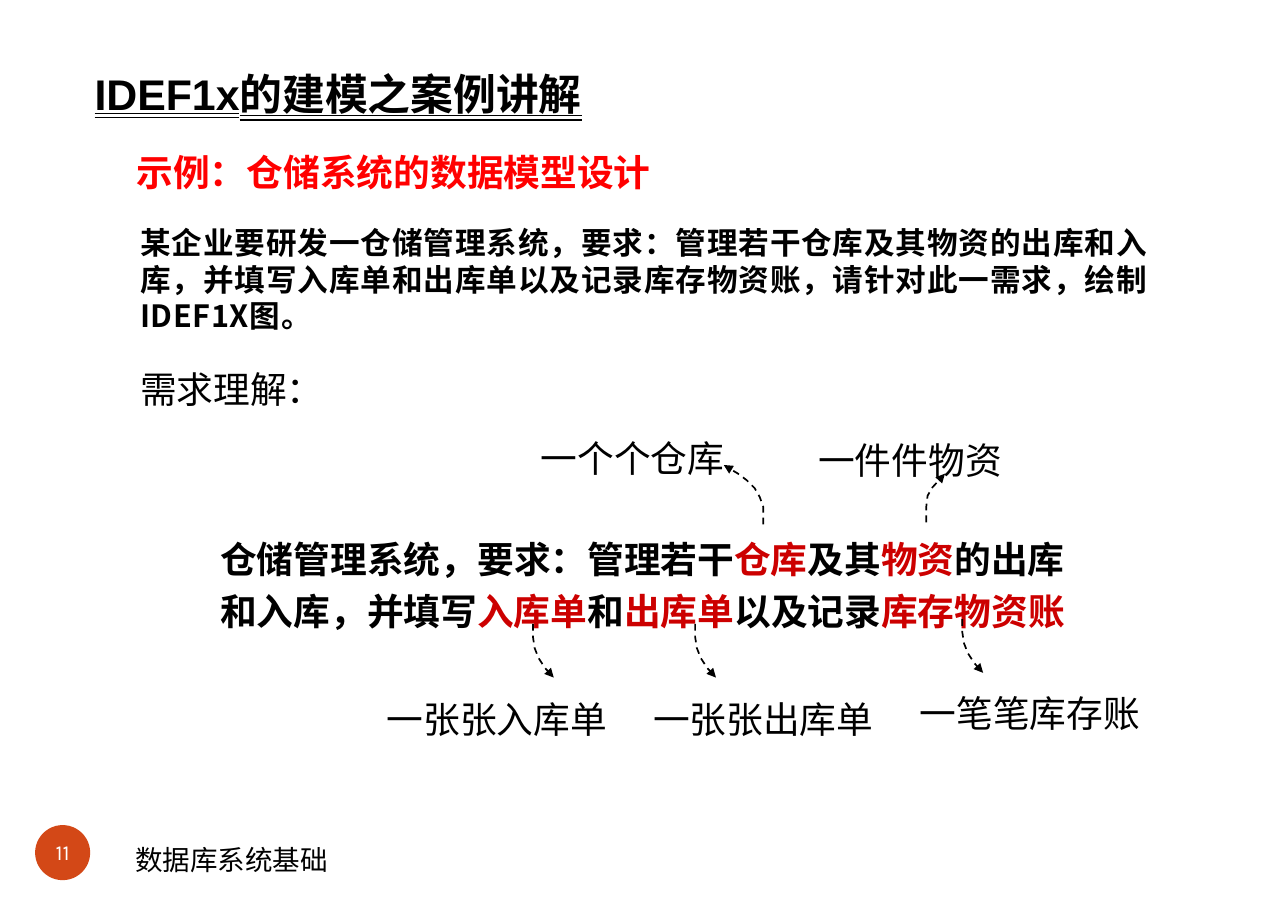
from lxml import etree
from pptx import Presentation
from pptx.dml.color import RGBColor
from pptx.enum import dml, shapes, text
from pptx.oxml.ns import qn
from pptx.util import Cm, Pt

# Content
COLORS = {"black": "000000", "red": "FF0000", "key": "CC0000",
          "orange": "D34817", "white": "FFFFFF"}
CJK = "Noto Sans CJK SC"

TITLE = "IDEF1x的建模之案例讲解"
EXAMPLE = "示例：仓储系统的数据模型设计"
TASK = ("某企业要研发一仓储管理系统，要求：管理若干仓库及其物资的出库和入 "
        "库，并填写入库单和出库单以及记录库存物资账，请针对此一需求，绘制 IDEF1X图。")
HEADING = "需求理解："
REQUIREMENT = [  # (text, colour)
    ("仓储管理系统，要求：管理若干", "black"), ("仓库", "key"),
    ("及其", "black"), ("物资", "key"),
    ("的出库 和入库，并填写", "black"), ("入库单", "key"),
    ("和", "black"), ("出库单", "key"),
    ("以及记录", "black"), ("库存物资账", "key"),
]
FOOTER = "数据库系统基础"
PAGE = "11"

# Arrow bends as offsets from the start, in cm
DOWN = [(0, 0.3), (0.04, 0.56), (0.13, 0.79), (0.28, 1.02), (0.48, 1.24)]
UP_LEFT = [(0, -0.41), (-0.08, -0.63), (-0.2, -0.84), (-0.38, -1.02),
           (-0.58, -1.17), (-0.91, -1.37)]
UP_RIGHT = [(0, -0.36), (0.03, -0.61), (0.13, -0.79), (0.43, -1.12)]

ENTITIES = [  # (label, label corner, arrow start, arrow bends)
    ("一个个仓库", (12.47, 9.96), (17.6, 12.09), UP_LEFT),
    ("一件件物资", (18.87, 10.01), (21.36, 12.04), UP_RIGHT),
    ("一张张入库单", (8.92, 15.98), (12.29, 14.38), DOWN),
    ("一张张出库单", (15.06, 15.98), (16.03, 14.38), DOWN),
    ("一笔笔库存账", (21.21, 15.85), (22.19, 14.27), DOWN),
]
CHAR_WIDTH = 0.86

prs = Presentation()
prs.slide_width, prs.slide_height = Cm(29.7), Cm(21)
s = prs.slides.add_slide(prs.slide_layouts[1])


def write(p, words, size=24, font=CJK, color="black", bold=False,
          underline=None, spacing=0, line=31, before=0,
          align=text.PP_ALIGN.LEFT):
    """Append one formatted run to a paragraph."""
    p.alignment, p.line_spacing, p.space_before = align, Pt(line), Pt(before)
    r = p.add_run()
    r.text = words
    f = r.font
    f.size, f.name, f.bold, f.underline = Pt(size), font, bold, underline
    f.color.rgb = RGBColor.from_string(COLORS[color])
    rpr = r._r.get_or_add_rPr()
    if spacing:
        rpr.set("spc", str(int(spacing * 100)))
    latin = rpr.find(qn("a:latin"))
    east = etree.Element(qn("a:ea"), typeface=CJK)
    latin.addnext(east)


def place(sp, x, y, w, h, inset=(0, 0), wrap=True,
          anchor=text.MSO_ANCHOR.TOP):
    """Position a shape, set up its frame and return the first paragraph."""
    sp.left, sp.top, sp.width, sp.height = Cm(x), Cm(y), Cm(w), Cm(h)
    tf = sp.text_frame
    tf.margin_left = tf.margin_right = Cm(inset[0])
    tf.margin_top = tf.margin_bottom = Cm(inset[1])
    tf.auto_size, tf.word_wrap = text.MSO_AUTO_SIZE.NONE, wrap
    tf.vertical_anchor = anchor
    return tf.paragraphs[0]


def text_box(x, y, w, h, **frame):
    return place(s.shapes.add_textbox(0, 0, 0, 0), x, y, w, h, **frame)


def arrow(start, bends):
    x, y = start
    points = [(Cm(x + dx), Cm(y + dy)) for dx, dy in bends]
    builder = s.shapes.build_freeform(Cm(x), Cm(y))
    builder.add_line_segments(points, close=False)
    sp = builder.convert_to_shape()
    sp.shadow.inherit = False
    sp.fill.background()
    sp.line.color.rgb = RGBColor.from_string(COLORS["black"])
    sp.line.width = Pt(1.1)
    sp.line.dash_style = dml.MSO_LINE.DASH
    etree.SubElement(sp.line._get_or_add_ln(), qn("a:tailEnd"), type="triangle")


# Title and example line
p = place(s.shapes.title, 1.93, 1.37, 18.92, 1.47, inset=(0.25, 0.13),
          anchor=text.MSO_ANCHOR.MIDDLE)
write(p, TITLE, size=28, font="Arial", bold=True, line=36,
      underline=text.MSO_UNDERLINE.DOUBLE_LINE)
write(text_box(3.15, 3.38, 13.31, 2.06), EXAMPLE, color="red", bold=True)

# Task and heading
body = s.placeholders[1]
p = place(body, 3.23, 5.16, 23.24, 4.55)
write(p, TASK, size=20, bold=True, spacing=0.4, line=24,
      align=text.PP_ALIGN.JUSTIFY)
write(body.text_frame.add_paragraph(), HEADING, before=19)
for p in body.text_frame.paragraphs:
    ppr = p._p.get_or_add_pPr()
    ppr.set("marL", "0")
    ppr.set("indent", "0")
    etree.SubElement(ppr, qn("a:buNone"))

# Requirement with its key words
p = text_box(5.08, 12.19, 19.53, 2.13)
for words, color in REQUIREMENT:
    write(p, words, color=color, bold=True, line=34)

# Entities and their arrows
for label, (x, y), start, bends in ENTITIES:
    write(text_box(x, y, CHAR_WIDTH * len(label), 0.91, wrap=False), label)
    arrow(start, bends)

# Page number and footer
sp = s.shapes.add_shape(shapes.MSO_SHAPE.OVAL, 0, 0, 0, 0)
sp.shadow.inherit = False
sp.fill.solid()
sp.fill.fore_color.rgb = RGBColor.from_string(COLORS["orange"])
sp.line.fill.background()
p = place(sp, 0.81, 19.02, 1.27, 1.27, wrap=False,
          anchor=text.MSO_ANCHOR.MIDDLE)
write(p, PAGE, size=14, font="Karla", color="white", line=16,
      align=text.PP_ALIGN.CENTER)
write(text_box(2.87, 19.28, 6.48, 1.02, inset=(0.25, 0.13)), FOOTER,
      size=18, line=22)

prs.save("out.pptx")
